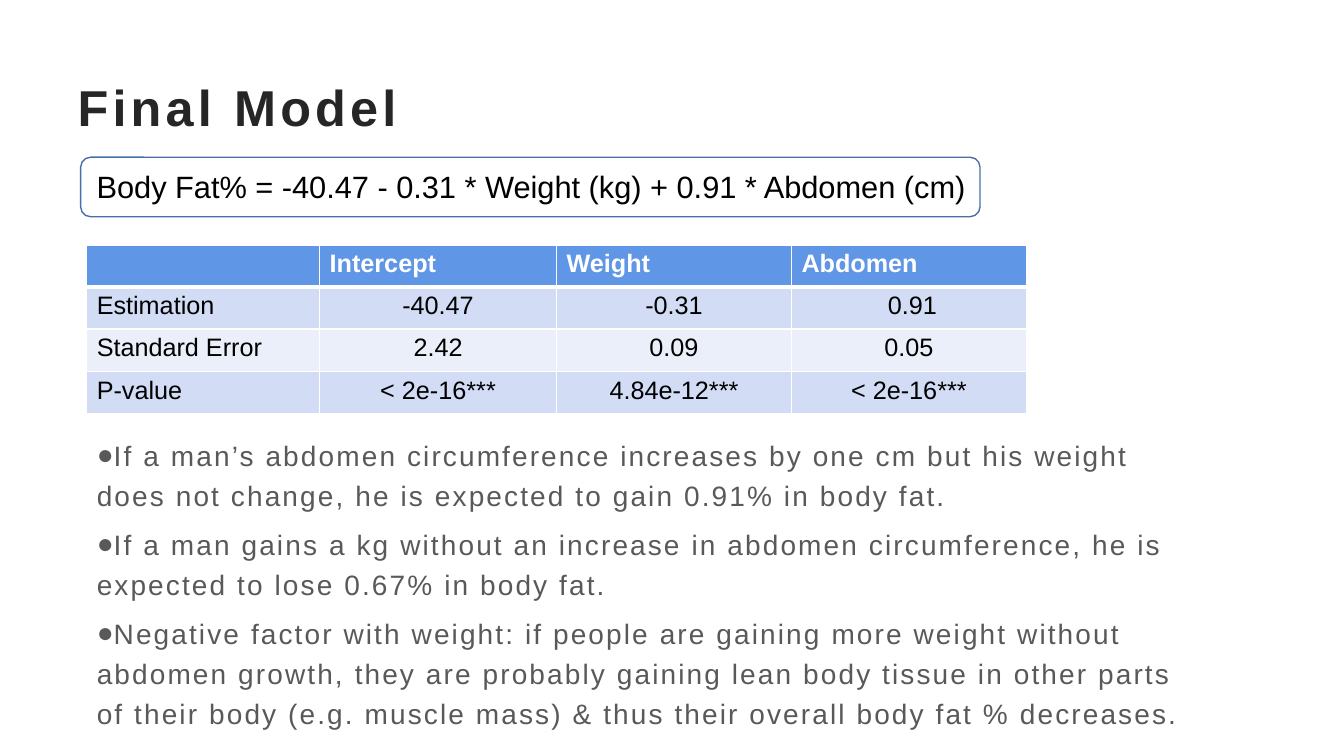
from lxml.etree import SubElement
from pptx import Presentation
from pptx.dml.color import RGBColor
from pptx.enum.shapes import MSO_SHAPE
from pptx.enum.text import MSO_ANCHOR, MSO_AUTO_SIZE, PP_ALIGN
from pptx.oxml.ns import qn
from pptx.util import Inches, Pt

HUES = {"title": "262626", "body": "595959", "ink": "000000", "frame": "476FAA",
        "head": "6096E6", "dark": "D2DDF5", "light": "EAEFFA", "white": "FFFFFF"}

ROWS = [
    ["", "Intercept", "Weight", "Abdomen"],
    ["Estimation", "-40.47", "-0.31", " 0.91"],
    ["Standard Error", "2.42", "0.09", "0.05"],
    ["P-value", "< 2e-16***", "4.84e-12***", "< 2e-16***"],
]
WIDTHS = [2.31, 2.35, 2.33, 2.33]

POINTS = [
    "If a man’s abdomen circumference increases by one cm but his weight "
    "does not change, he is expected to gain 0.91% in body fat.",
    "If a man gains a kg without an increase in abdomen circumference, he is "
    "expected to lose 0.67% in body fat.",
    "Negative factor with weight: if people are gaining more weight without "
    "abdomen growth, they are probably gaining lean body tissue in other parts "
    "of their body (e.g. muscle mass) & thus their overall body fat % decreases.",
]


def color(name):
    return RGBColor.from_string(HUES[name])


def assign(target, values):
    for key, value in values.items():
        setattr(target, key, value)


def place(shape, box):
    assign(shape, dict(zip(("left", "top", "width", "height"), map(Inches, box))))


def write(para, text, size, hue, bold=False, track=0):
    """Add a run; track is the letter spacing in points."""
    run = para.add_run()
    run.text = text
    assign(run.font, {"name": "Arial", "size": Pt(size), "bold": bold})
    run.font.color.rgb = color(hue)
    if track:
        run.font._element.set("spc", str(int(track * 100)))


def add_title(slide, box):
    title = slide.shapes.title
    place(title, box)
    assign(title.text_frame, {"vertical_anchor": MSO_ANCHOR.MIDDLE, "word_wrap": True,
                              "auto_size": MSO_AUTO_SIZE.NONE})
    para = title.text_frame.paragraphs[0]
    para.alignment = PP_ALIGN.LEFT
    write(para, "Final Model", 36, "title", True, 3)


def add_model(slide, box):
    left, top, width, height = box
    label = slide.shapes.add_textbox(*map(Inches, (left + 0.06, top + 0.05, width + 0.11, 0.49)))
    label.text_frame.word_wrap = True
    write(label.text_frame.paragraphs[0],
          "Body Fat% = -40.47 - 0.31 * Weight (kg) + 0.91 * Abdomen (cm)", 22, "ink")
    frame = slide.shapes.add_shape(MSO_SHAPE.ROUNDED_RECTANGLE, *map(Inches, box))
    frame.shadow.inherit = False
    frame.fill.background()
    frame.line.color.rgb = color("frame")
    frame.line.width = Pt(1)


def add_edges(cell, sizes):
    """Draw white borders, given widths in points by side."""
    props = cell._tc.get_or_add_tcPr()
    for side, size in sizes.items():
        line = SubElement(props, qn(f"a:ln{side}"), w=str(Pt(size)))
        fill = SubElement(line, qn("a:solidFill"))
        SubElement(fill, qn("a:srgbClr"), val=HUES["white"])


def add_stats(slide, box):
    table = slide.shapes.add_table(len(ROWS), len(WIDTHS), *map(Inches, box)).table
    for col, width in zip(table.columns, WIDTHS):
        col.width = Inches(width)
    for r, row in enumerate(ROWS):
        table.rows[r].height = Inches(box[3] / len(ROWS))
        shade = "head" if r == 0 else "dark" if r % 2 else "light"
        for c, text in enumerate(row):
            cell = table.cell(r, c)
            add_edges(cell, {"L": 1, "R": 1, "T": 3 if r == 1 else 1, "B": 3 if r == 0 else 1})
            cell.fill.solid()
            cell.fill.fore_color.rgb = color(shade)
            para = cell.text_frame.paragraphs[0]
            para.alignment = PP_ALIGN.CENTER if r and c else PP_ALIGN.LEFT
            if text:
                write(para, text, 18, "ink" if r else "white", r == 0)


def add_points(slide, box):
    body = slide.placeholders[1]
    place(body, box)
    frame = body.text_frame
    assign(frame, {"word_wrap": True, "auto_size": MSO_AUTO_SIZE.NONE,
                   "vertical_anchor": MSO_ANCHOR.TOP})
    for i, text in enumerate(POINTS):
        para = frame.add_paragraph() if i else frame.paragraphs[0]
        assign(para, {"level": 1, "line_spacing": 1.2, "space_before": Pt(0),
                      "space_after": Pt(6), "alignment": PP_ALIGN.LEFT})
        props = para._p.get_or_add_pPr()
        props.set("marL", "0")
        props.set("indent", str(Inches(-0.25)))
        SubElement(props, qn("a:buFont"), typeface="Arial")
        SubElement(props, qn("a:buChar"), char="●")
        write(para, text, 20, "body", track=1.5)


def main():
    deck = Presentation()
    assign(deck, {"slide_width": Inches(13.33), "slide_height": Inches(7.5)})
    slide = deck.slides.add_slide(deck.slide_layouts[1])
    add_title(slide, (0.67, 0.67, 12, 0.77))
    add_model(slide, (0.8, 1.56, 8.92, 0.59))
    add_points(slide, (0.86, 4.23, 11.06, 3.17))
    add_stats(slide, (0.86, 2.43, sum(WIDTHS), 1.67))
    deck.save("out.pptx")


if __name__ == "__main__":
    main()
